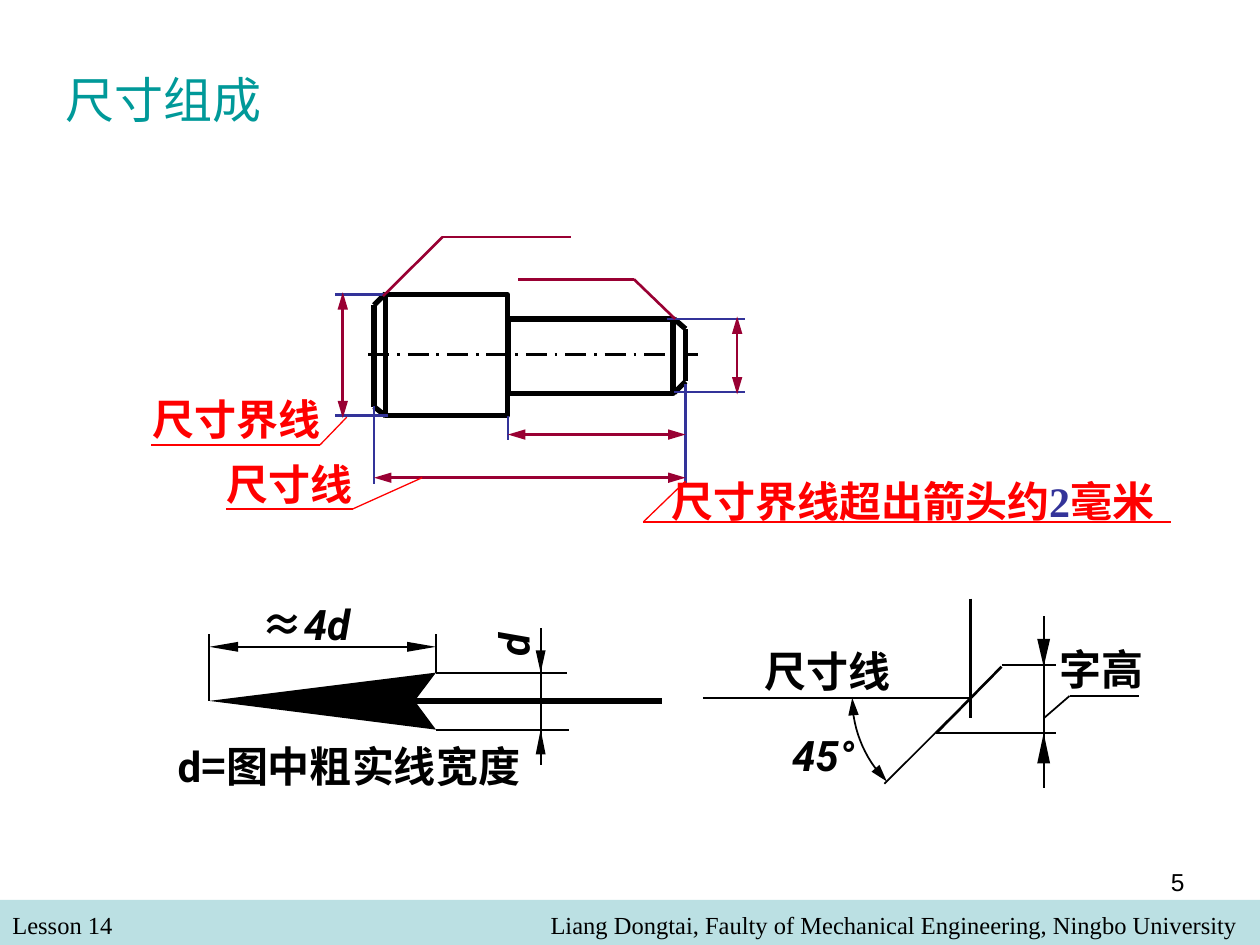
from itertools import pairwise
from math import cos, radians, sin

from lxml.etree import SubElement
from pptx import Presentation
from pptx.dml.color import RGBColor
from pptx.enum.dml import MSO_LINE
from pptx.enum.shapes import MSO_CONNECTOR, MSO_SHAPE
from pptx.enum.text import MSO_ANCHOR, MSO_AUTO_SIZE, PP_ALIGN
from pptx.oxml.ns import qn
from pptx.util import Cm, Pt

BLACK, RED, BLUE, WINE = "000000", "FF0000", "333399", "990033"
TEAL, PALE = "009999", "BBE0E3"
SERIF, SANS, HAN = "Times New Roman", "Roboto", "Noto Sans CJK SC"
LEFT, MID, RIGHT = PP_ALIGN.LEFT, PP_ALIGN.CENTER, PP_ALIGN.RIGHT


def color(code):
    return RGBColor.from_string(code)


def text(slide, box, *runs, on=None, size=24, font=HAN, ink=BLACK, bold=True,
         italic=False, align=LEFT, mid=False, wrap=False, pad=True, turn=0):
    """Write runs, each a string or a (string, changes) pair, into a box."""
    shape = on or slide.shapes.add_textbox(0, 0, 0, 0)
    shape.left, shape.top, shape.width, shape.height = map(Cm, box)
    shape.rotation = turn
    frame = shape.text_frame
    frame.auto_size = MSO_AUTO_SIZE.NONE
    frame.word_wrap = wrap
    frame.vertical_anchor = MSO_ANCHOR.MIDDLE if mid else MSO_ANCHOR.TOP
    frame.margin_left = frame.margin_right = Cm(0.25 if pad else 0)
    frame.margin_top = frame.margin_bottom = Cm(0.13 if pad else 0)
    para = frame.paragraphs[0]
    para.alignment = align
    for item in runs:
        words, diff = (item, {}) if isinstance(item, str) else item
        run = para.add_run()
        run.text = words
        face = run.font
        face.name = diff.get("font", font)
        face.size = Pt(size)
        face.bold = bold
        face.italic = diff.get("italic", italic)
        face.color.rgb = color(diff.get("ink", ink))
        SubElement(run._r.rPr, qn("a:ea")).set("typeface", HAN)


def style(shape, ink, width, arrows=False):
    shape.line.color.rgb = color(ink)
    shape.line.width = Pt(width)
    if arrows:
        edge = shape.line._get_or_add_ln()
        for end in ("a:headEnd", "a:tailEnd"):
            tip = SubElement(edge, qn(end))
            for key, value in (("type", "triangle"), ("w", "med"), ("len", "lg")):
                tip.set(key, value)


def chain(slide, *points, ink=BLACK, width=1, arrows=False):
    """Join points by straight lines and return the last one."""
    for (x, y), (u, v) in pairwise(points):
        line = slide.shapes.add_connector(
            MSO_CONNECTOR.STRAIGHT, Cm(x), Cm(y), Cm(u), Cm(v))
        style(line, ink, width, arrows)
        SubElement(line._element.spPr, qn("a:effectLst"))
    return line


def block(slide, *box, fill=None, ink=None):
    shape = slide.shapes.add_shape(MSO_SHAPE.RECTANGLE, *map(Cm, box))
    shape.shadow.inherit = False
    if fill:
        shape.fill.solid()
        shape.fill.fore_color.rgb = color(fill)
    else:
        shape.fill.background()
    if ink:
        style(shape, ink, 3)
    else:
        shape.line.fill.background()


def outline(slide, points, solid=True):
    """Draw a filled polygon, or an open path with arrows."""
    spots = [(Cm(x), Cm(y)) for x, y in points]
    pen = slide.shapes.build_freeform(*spots[0])
    pen.add_line_segments(spots[1:], close=solid)
    shape = pen.convert_to_shape()
    shape.shadow.inherit = False
    if solid:
        shape.fill.solid()
        shape.fill.fore_color.rgb = color(BLACK)
        shape.line.fill.background()
    else:
        shape.fill.background()
        style(shape, BLACK, 1, arrows=True)


def tip(slide, x, y, dx=0, dy=0, half=0.1):
    """Solid arrow tip at x, y whose base lies dx or dy away."""
    side, rise = (half, 0) if dy else (0, half)
    outline(slide, [(x, y), (x + dx - side, y + dy - rise),
                    (x + dx + side, y + dy + rise)])


def frame(slide):
    """Title, footer band and page number."""
    block(slide, 0, 18.14, 25.4, 0.91, fill=PALE)
    foot = dict(size=14, bold=False, wrap=True)
    text(slide, (0, 18.21, 12.27, 0.86), "Lesson 14", font=SERIF, **foot)
    text(slide, (4.45, 18.21, 20.75, 0.86),
         "Liang Dongtai, Faulty of Mechanical Engineering, Ningbo University",
         font=SERIF, align=RIGHT, **foot)
    text(slide, (18.21, 17.35, 5.92, 1.32), "5", font="Arial", align=RIGHT, **foot)
    text(slide, (1.07, 1.27, 12.19, 1.45), "尺寸组成", on=slide.shapes.title,
         size=28, font=SANS, ink=TEAL, bold=False, mid=True, wrap=True)


def shaft(slide):
    """Stepped shaft with its dimensions."""
    axis = chain(slide, (7.42, 7.14), (14.08, 7.14), width=1.5)
    axis.line.dash_style = MSO_LINE.LONG_DASH_DOT
    block(slide, 7.77, 5.94, 2.46, 2.44, ink=BLACK)
    block(slide, 10.24, 6.43, 3.33, 1.5, ink=BLACK)
    for ends in (
        [(13.59, 6.43), (13.82, 6.63), (13.82, 7.69), (13.59, 7.92)],
        [(7.77, 5.92), (7.54, 6.15), (7.54, 8.2), (7.77, 8.38)],
    ):
        chain(slide, *ends, width=3)
    # Extension lines
    for x, y, u, v in (
        (13.44, 6.43, 15.01, 6.43), (13.59, 7.9, 15.01, 7.9),
        (7.75, 5.94, 6.76, 5.94), (7.82, 8.38, 6.76, 8.38),
        (10.24, 8.38, 10.24, 8.86), (13.82, 7.75, 13.82, 9.75),
        (7.54, 8.18, 7.54, 9.75),
    ):
        chain(slide, (x, y), (u, v), ink=BLUE, width=1.5)
    # Dimension lines
    for x, y, u, v in (
        (6.91, 5.89, 6.91, 8.43), (10.24, 8.76, 13.82, 8.76),
        (7.54, 9.63, 13.82, 9.63), (14.86, 6.38, 14.86, 7.95),
    ):
        chain(slide, (x, y), (u, v), ink=WINE, width=1.5, arrows=True)
    # Chamfer leaders
    chain(slide, (7.72, 5.97), (8.92, 4.78), (11.51, 4.78), ink=WINE, width=1.5)
    chain(slide, (13.61, 6.43), (12.78, 5.63), (10.44, 5.63), ink=WINE, width=1.5)
    # Red labels with leaders
    for box, words, ends in (
        ((2.82, 7.8, 3.89, 1.27), ["尺寸界线"],
         [(6.99, 8.41), (6.45, 8.97), (3.05, 8.97)]),
        ((4.32, 9.12, 3.05, 1.27), ["尺寸线"],
         [(8.51, 9.63), (7.11, 10.26), (4.55, 10.26)]),
        ((13.28, 9.45, 10.64, 1.27),
         ["尺寸界线超出箭头约", ("2", {"ink": BLUE}), "毫米"],
         [(13.82, 9.7), (12.97, 10.52), (23.6, 10.52)]),
    ):
        text(slide, box, *words, font=SERIF, ink=RED)
        chain(slide, *ends, ink=RED, width=0.75)


def arrow(slide):
    """Proportions of the arrowhead."""
    low, top, axis, back, nose = 14.71, 13.56, 14.13, 8.79, 4.22
    chain(slide, (back, low), (11.48, low))
    chain(slide, (back, top), (11.43, top))
    chain(slide, (7.59, axis), (13.34, axis), width=3)
    chain(slide, (nose, axis), (nose, 12.78))
    chain(slide, (back, top), (back, 12.78))
    chain(slide, (4.42, 13.04), (8.59, 13.04))
    chain(slide, (10.9, 15.42), (10.9, 12.65))
    outline(slide, [(nose, axis), (back, top), (8.36, axis), (back, low)])
    tip(slide, nose, 13.04, dx=0.58)
    tip(slide, back, 13.04, dx=-0.58)
    tip(slide, 10.9, top, dy=-0.45)
    tip(slide, 10.9, low, dy=0.5)
    text(slide, (4.72, 12.07, 2.9, 1.02), "≈",
         ("4d", {"font": SANS, "italic": True}), align=MID, wrap=True, pad=False)
    text(slide, (9.83, 12.37, 1.02, 1.27), "d", font=SANS, italic=True,
         align=MID, mid=True, turn=270)
    text(slide, (3.33, 14.81, 7.67, 1.27), ("d", {"font": SANS}),
         "=图中粗实线宽度", mid=True)


def slash(slide):
    """Oblique stroke at 45 degrees."""
    x, y, post = 19.56, 14.07, 21.04
    chain(slide, (post, 15.88), (post, 12.42))
    tip(slide, post, 13.44, dy=-0.56, half=0.13)
    tip(slide, post, 14.78, dy=0.61, half=0.13)
    chain(slide, (14.17, y), (x, y), width=1.5)
    chain(slide, (x, 12.07), (x, 14.48), width=1.5)
    chain(slide, (19.1, 14.53), (17.83, 15.8))
    chain(slide, (18.87, 14.78), (20.19, 13.44), width=1.5)
    chain(slide, (18.87, 14.78), (21.29, 14.78))
    chain(slide, (20.19, 13.41), (21.29, 13.41))
    chain(slide, (post, 14.48), (21.56, 14.03), (22.96, 14.03))
    outline(slide, [(x - 2.38 * cos(radians(a)), y + 2.38 * sin(radians(a)))
                    for a in range(0, 46, 3)], solid=False)
    text(slide, (21.36, 12.98, 1.7, 1.02), "字高", align=MID, pad=False)
    text(slide, (15.16, 12.88, 3.05, 1.27), "尺寸线", align=MID, mid=True)
    text(slide, (15.7, 14.58, 1.8, 1.27), "45°", font=SANS, italic=True,
         align=MID, mid=True)


def main():
    deck = Presentation()
    deck.slide_width, deck.slide_height = Cm(25.4), Cm(19.05)
    slide = deck.slides.add_slide(deck.slide_layouts[5])
    for part in (frame, shaft, arrow, slash):
        part(slide)
    deck.save("out.pptx")


if __name__ == "__main__":
    main()
